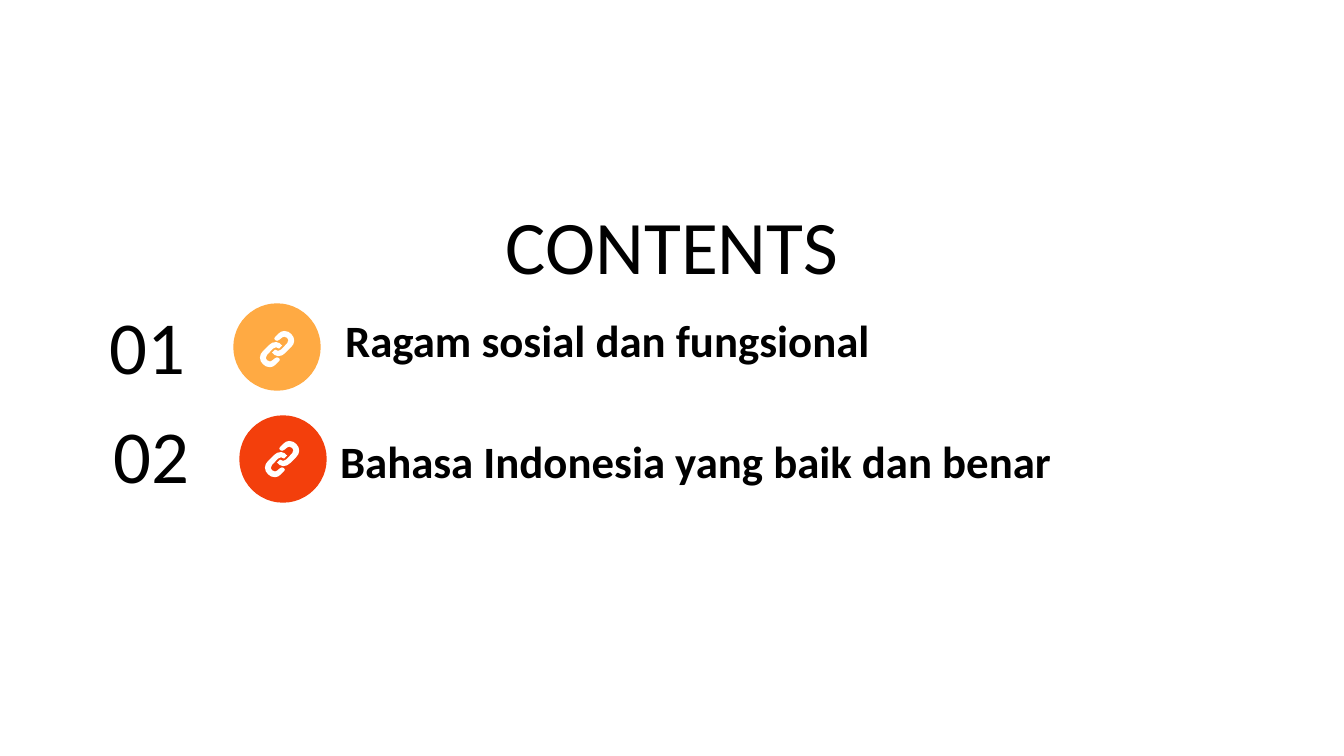
"""Build a contents slide with two numbered topics, each marked by a link icon."""
import pptx
import pptx.dml.color
import pptx.enum.shapes
import pptx.enum.text
import pptx.util

PX = 9071
MILLI_INCH = 914.4
BLACK = pptx.dml.color.RGBColor(0x00, 0x00, 0x00)
WHITE = pptx.dml.color.RGBColor(0xFF, 0xFF, 0xFF)
AMBER = pptx.dml.color.RGBColor(0xFF, 0xAA, 0x43)
ORANGE_RED = pptx.dml.color.RGBColor(0xF3, 0x3F, 0x0C)

UPPER_LINK = [
    (310, 30), (280, 8), (240, 0), (208, 8), (180, 30), (150, 60), (143, 75),
    (150, 90), (170, 98), (190, 90), (220, 65), (240, 57), (268, 68), (282, 90),
    (270, 122), (210, 185), (180, 198), (150, 185), (120, 215), (148, 240),
    (180, 250), (218, 243), (250, 220), (310, 160), (332, 130), (340, 95), (332, 60),
]
LOWER_LINK = [(340 - x, 360 - y) for x, y in UPPER_LINK]

TOPICS = [
    ("01", (100, 295), (234, 304), (260, 331), AMBER,
     "Ragam sosial dan fungsional", (335, 308, 644, 64)),
    ("02", (104, 404), (240, 416), (265, 441), ORANGE_RED,
     "Bahasa Indonesia yang baik dan benar", (330, 429, 843, 64)),
]


def place(shape, left, top, width, height):
    shape.left, shape.top = left * PX, top * PX
    shape.width, shape.height = width * PX, height * PX


def write(shape, text, size, bold=False, alignment=pptx.enum.text.PP_ALIGN.LEFT, wrap=True):
    frame = shape.text_frame
    frame.word_wrap = wrap
    frame.auto_size = pptx.enum.text.MSO_AUTO_SIZE.NONE
    frame.vertical_anchor = pptx.enum.text.MSO_ANCHOR.TOP
    paragraph = frame.paragraphs[0]
    paragraph.alignment = alignment
    paragraph.space_before = pptx.util.Pt(0)
    run = paragraph.add_run()
    run.text = text
    run.font.name = "Calibri"
    run.font.size = pptx.util.Pt(size)
    run.font.bold = bold
    run.font.color.rgb = BLACK
    return paragraph


presentation = pptx.Presentation()
presentation.slide_width = 1344 * PX
presentation.slide_height = 756 * PX
slide = presentation.slides.add_slide(presentation.slide_layouts.get_by_name("Two Content"))
shapes = slide.shapes

place(shapes.title, 427, 194, 490, 98)
write(shapes.title, "CONTENTS", 54, alignment=pptx.enum.text.PP_ALIGN.CENTER)

for index, (number, number_at, circle_at, icon_at, color, topic, topic_box) in enumerate(TOPICS, 1):
    circle = shapes.add_shape(
        pptx.enum.shapes.MSO_SHAPE.OVAL, circle_at[0] * PX, circle_at[1] * PX, 86 * PX, 86 * PX)
    circle.shadow.inherit = False
    circle.fill.solid()
    circle.fill.fore_color.rgb = color
    circle.line.color.rgb = color
    circle.line.width = pptx.util.Pt(1)

    number_box = shapes.add_textbox(number_at[0] * PX, number_at[1] * PX, 104 * PX, 97 * PX)
    write(number_box, number, 53.4, wrap=False)

    body = slide.placeholders[index]
    place(body, *topic_box)
    paragraph = write(body, topic, 32, bold=True)
    properties = paragraph._p.get_or_add_pPr()
    properties.set("marL", "0")
    properties.set("indent", "0")
    properties.append(pptx.oxml.parse_xml(
        '<a:buNone xmlns:a="http://schemas.openxmlformats.org/drawingml/2006/main"/>'))

    builder = shapes.build_freeform(*UPPER_LINK[0], scale=MILLI_INCH)
    builder.add_line_segments(UPPER_LINK[1:], close=True)
    builder.move_to(*LOWER_LINK[0])
    builder.add_line_segments(LOWER_LINK[1:], close=True)
    icon = builder.convert_to_shape(icon_at[0] * PX, icon_at[1] * PX)
    icon.shadow.inherit = False
    icon.fill.solid()
    icon.fill.fore_color.rgb = WHITE
    icon.line.fill.background()

presentation.save("out.pptx")
